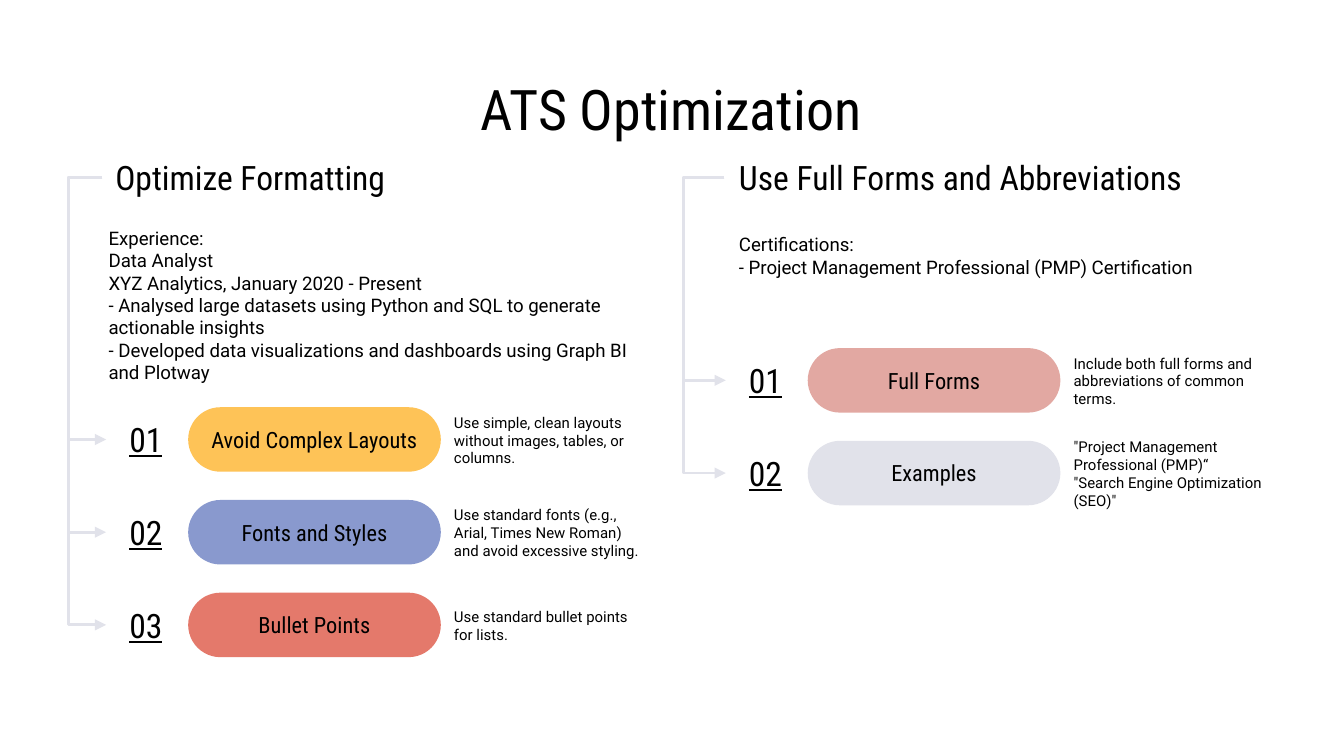
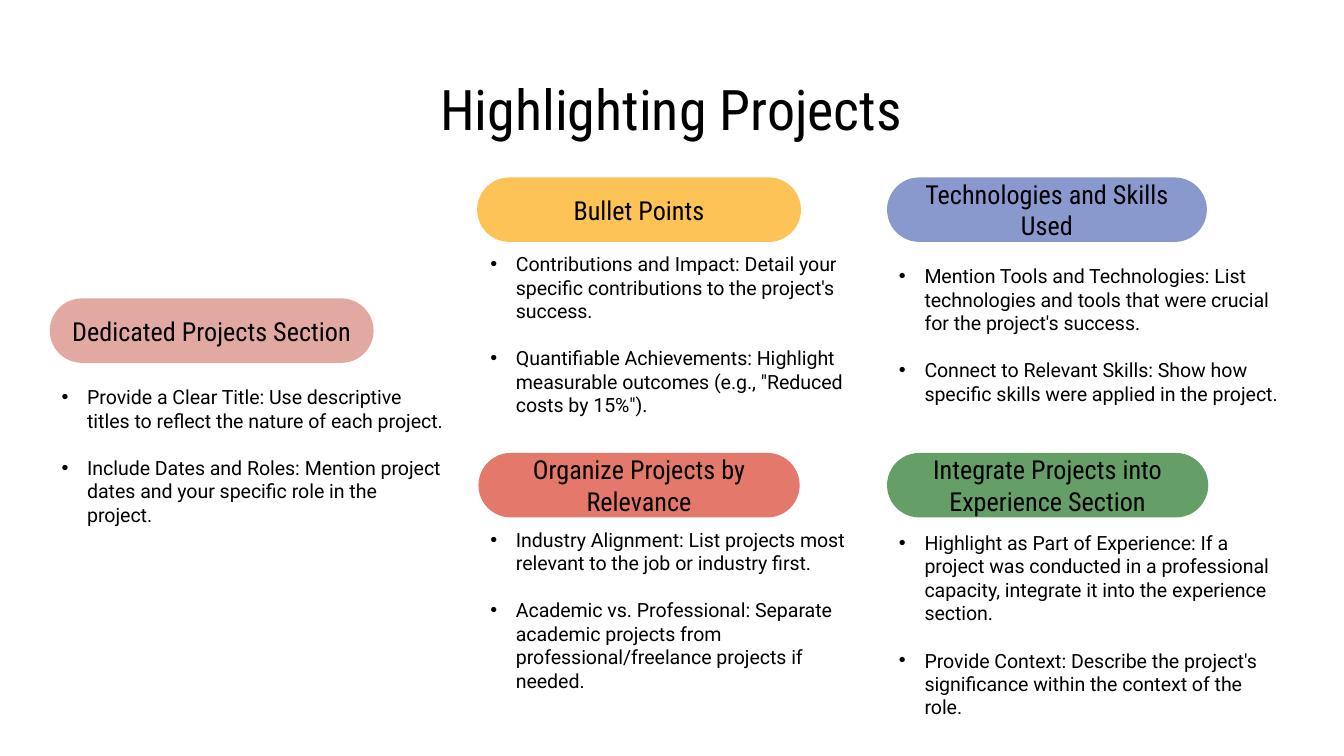
from lxml import etree
from pptx import Presentation
from pptx import util as u
from pptx.dml.color import RGBColor
from pptx.enum import shapes, text
from pptx.oxml.ns import qn

PX = 9144  # 100 px to the inch
WIDTH = 1000
HEAD, BODY = "Roboto Condensed", "Roboto"
BLACK, MIST = "000000", "E1E2EA"
AMBER, BLUE, CORAL, ROSE, GREEN = "FEC357", "8999CE", "E4796B", "E2A8A2", "659E67"


def write(slide, lines, x, y, w, h, size, font=BODY, align="LEFT",
          fill=None, underline=False, bullets=False):
    """Write lines in a text box, or in a pill when a fill is given."""
    if fill:
        box = slide.shapes.add_shape(shapes.MSO_SHAPE.ROUNDED_RECTANGLE,
                                     x * PX, y * PX, w * PX, h * PX)
        box.adjustments[0] = 0.5
        box.shadow.inherit = False
        box.fill.solid()
        box.fill.fore_color.rgb = RGBColor.from_string(fill)
        box.line.fill.background()
    else:
        box = slide.shapes.add_textbox(x * PX, y * PX, w * PX, h * PX)
    frame = box.text_frame
    frame.word_wrap = True
    frame.vertical_anchor = text.MSO_ANCHOR.MIDDLE
    frame.margin_left = frame.margin_right = 0 if fill else 10 * PX
    frame.margin_top = frame.margin_bottom = 10 * PX
    frame.text = "\n".join(lines)
    for i, par in enumerate(frame.paragraphs):
        par.alignment = getattr(text.PP_ALIGN, align)
        for run in par.runs:
            run.font.size = u.Pt(size)
            run.font.name = font
            run.font.color.rgb = RGBColor.from_string(BLACK)
            run.font.underline = underline
        if bullets:
            props = par._p.get_or_add_pPr()
            props.set("marL", str(19 * PX))
            props.set("indent", str(-19 * PX))
            etree.SubElement(props, qn("a:buFont"), typeface="Arial")
            etree.SubElement(props, qn("a:buChar"), char="•")
            if i:
                par.space_before = u.Pt(12.6)


def branch(slide, start_x, trunk_x, end_x, top, bottom):
    """Draw an arrow that leaves leftwards, drops along the trunk and turns right."""
    arrow = slide.shapes.add_connector(shapes.MSO_CONNECTOR.ELBOW, start_x * PX, top * PX,
                                       end_x * PX, bottom * PX)
    arrow.line.color.rgb = RGBColor.from_string(MIST)
    arrow.line.width = u.Pt(1.5)
    props = arrow._element.spPr
    bend = round((trunk_x - start_x) / (end_x - start_x) * 100000)
    guides = props.find(qn("a:prstGeom")).find(qn("a:avLst"))
    etree.SubElement(guides, qn("a:gd"), name="adj1", fmla=f"val {bend}")
    etree.SubElement(props.find(qn("a:ln")), qn("a:tailEnd"), type="triangle")
    etree.SubElement(props, qn("a:effectLst"))


deck = Presentation()
deck.slide_width, deck.slide_height = WIDTH * PX, WIDTH * PX * 9 // 16

# Slides with their shared title
ats, projects = [deck.slides.add_slide(deck.slide_layouts[6]) for _ in range(2)]
for slide, title in ((ats, "ATS Optimization"), (projects, "Highlighting Projects")):
    write(slide, [title], 78, 59, 843, 43, 30, font=HEAD, align="CENTER")

# ATS slide: heading x, sample x and y, trunk x, number x, first pill y
topics = [
    ("Optimize Formatting", 76, 71, 201, 51, 79, 303,
     ["Experience:", "Data Analyst", "XYZ Analytics, January 2020 - Present",
      "- Analysed large datasets using Python and SQL to generate actionable insights",
      "- Developed data visualizations and dashboards using Graph BI and Plotway"],
     [("Avoid Complex Layouts", AMBER,
       ["Use simple, clean layouts without images, tables, or columns."]),
      ("Fonts and Styles", BLUE,
       ["Use standard fonts (e.g., Arial, Times New Roman) and avoid excessive styling."]),
      ("Bullet Points", CORAL, ["Use standard bullet points for lists."])]),
    ("Use Full Forms and Abbreviations", 540, 540, 164, 508, 540, 259,
     ["Certifications:", "- Project Management Professional (PMP) Certification"],
     [("Full Forms", ROSE, ["Include both full forms and abbreviations of common terms."]),
      ("Examples", MIST, ['"Project Management Professional (PMP)“',
                          '"Search Engine Optimization (SEO)"'])]),
]
ROW_STEP = 69
for heading, head_x, sample_x, sample_y, trunk_x, number_x, first_y, sample, tips in topics:
    # Arrows first, so that the text lies on top
    for row in range(len(tips)):
        branch(ats, min(head_x, number_x - 1), trunk_x, number_x, 132,
               first_y + row * ROW_STEP + 24)
    write(ats, [heading], head_x, 110, 410, 44, 18, font=HEAD)
    write(ats, sample, sample_x, sample_y, 410, 52, 10)
    for row, (tip, color, advice) in enumerate(tips):
        y = first_y + row * ROW_STEP
        write(ats, [f"{row + 1:02}"], number_x, y + 3, 59, 42, 18, font=HEAD,
              align="CENTER", underline=True)
        write(ats, [tip], number_x + 61, y, 188, 48, 12, font=HEAD, align="CENTER", fill=color)
        write(ats, advice, number_x + 249, y - 2, 160, 53, 8)

# Projects slide: pill x, y and width, then the list x and y
sections = [
    ("Dedicated Projects Section", ROSE, 37, 222, 241, 36, 281,
     ["Provide a Clear Title: Use descriptive titles to reflect the nature of each project.",
      "Include Dates and Roles: Mention project dates and your specific role in the project."]),
    ("Bullet Points", AMBER, 355, 132, 241, 355, 191,
     ["Contributions and Impact: Detail your specific contributions to the project's success.",
      "Quantifiable Achievements: Highlight measurable outcomes "
      '(e.g., "Reduced costs by 15%").']),
    ("Technologies and Skills Used", BLUE, 660, 132, 238, 659, 191,
     ["Mention Tools and Technologies: List technologies and tools that were crucial "
      "for the project's success.",
      "Connect to Relevant Skills: Show how specific skills were applied in the project."]),
    ("Organize Projects by Relevance", CORAL, 356, 337, 239, 355, 396,
     ["Industry Alignment: List projects most relevant to the job or industry first.",
      "Academic vs. Professional: Separate academic projects from "
      "professional/freelance projects if needed."]),
    ("Integrate Projects into Experience Section", GREEN, 660, 337, 239, 659, 407,
     ["Highlight as Part of Experience: If a project was conducted in a professional "
      "capacity, integrate it into the experience section.",
      "Provide Context: Describe the project's significance within the context of the role."]),
]
for section, color, pill_x, pill_y, pill_w, list_x, list_y, points in sections:
    write(projects, [section], pill_x, pill_y, pill_w, 48, 14, font=HEAD,
          align="CENTER", fill=color)
    write(projects, points, list_x, list_y, 305, 116, 10.5, bullets=True)

deck.save("out.pptx")
